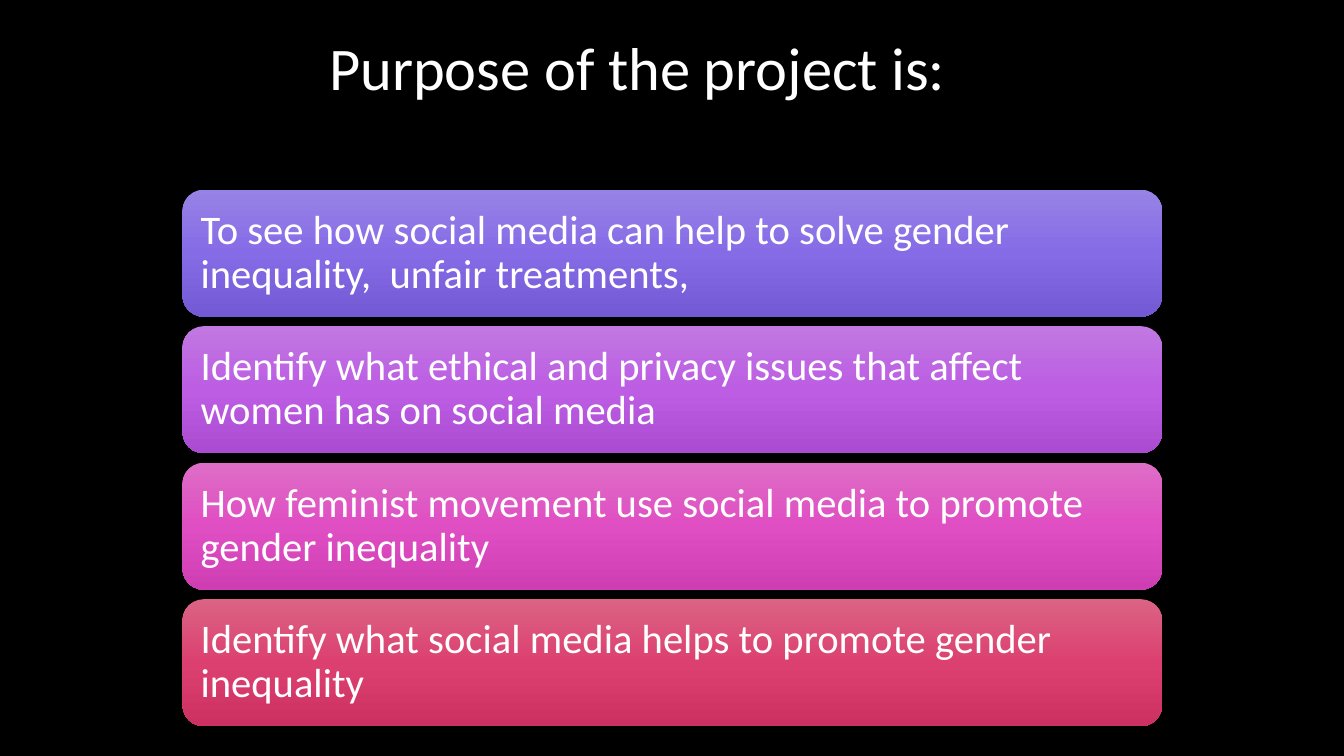
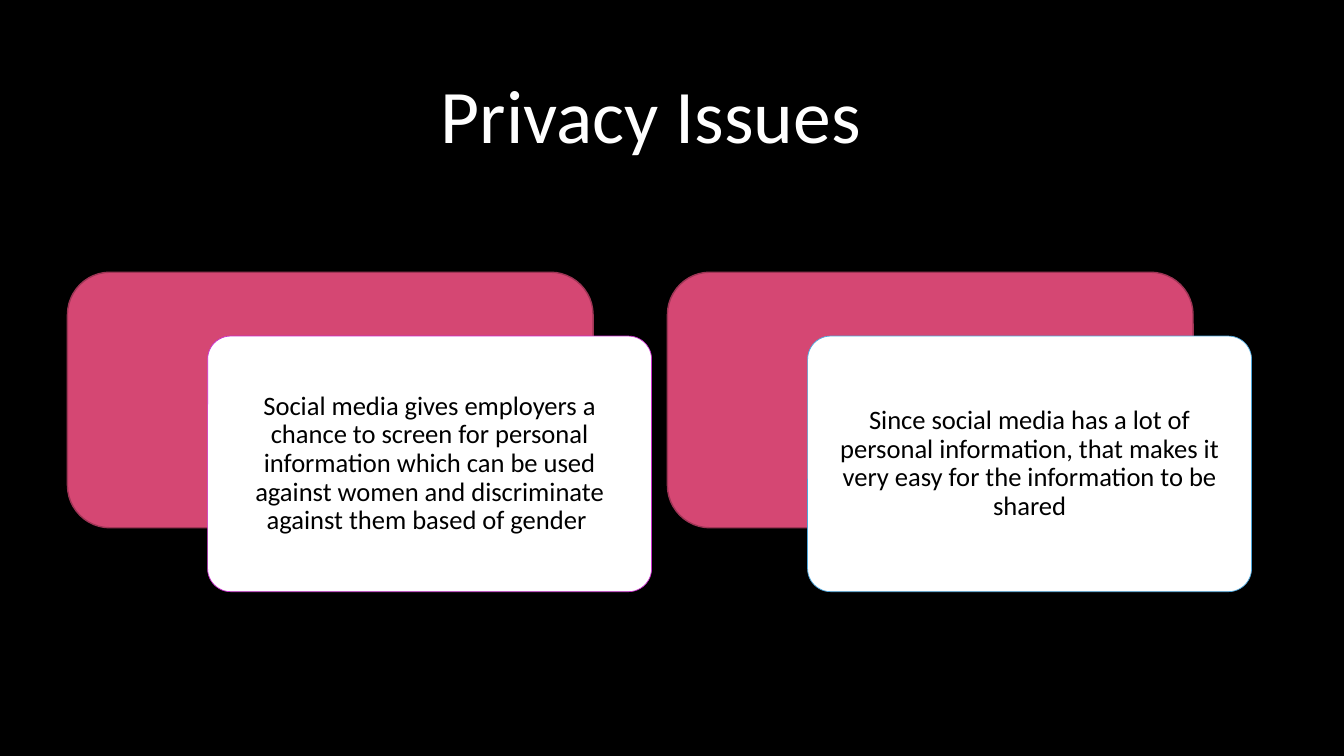
from copy import deepcopy

from pptx import Presentation
from pptx.dml.color import RGBColor
from pptx.enum.shapes import MSO_SHAPE
from pptx.enum.text import MSO_ANCHOR, MSO_AUTO_SIZE, PP_ALIGN
from pptx.oxml.ns import qn
from pptx.util import Cm, Pt

ROUND_RECT = MSO_SHAPE.ROUNDED_RECTANGLE
MIDDLE = MSO_ANCHOR.MIDDLE
NO_FIT = MSO_AUTO_SIZE.NONE
LEFT, CENTER = PP_ALIGN.LEFT, PP_ALIGN.CENTER

FONT = "Calibri"
BLACK = RGBColor(0x00, 0x00, 0x00)
WHITE = RGBColor(0xFF, 0xFF, 0xFF)
ROSE = RGBColor(0xD5, 0x47, 0x73)
DARK_ROSE = RGBColor(0x9E, 0x35, 0x55)
MAGENTA = RGBColor(0xC8, 0x30, 0xCC)
SKY = RGBColor(0x4E, 0xA6, 0xDC)

# Top, middle and bottom colour of each gradient
VIOLET_FADE = (RGBColor(0x97, 0x83, 0xE6), RGBColor(0x86, 0x6B, 0xE7), RGBColor(0x73, 0x59, 0xD4))
PURPLE_FADE = (RGBColor(0xC1, 0x78, 0xE2), RGBColor(0xBC, 0x5D, 0xE3), RGBColor(0xAA, 0x4B, 0xD1))
PINK_FADE = (RGBColor(0xDE, 0x6D, 0xC6), RGBColor(0xE0, 0x4E, 0xC3), RGBColor(0xCE, 0x3E, 0xB2))
RED_FADE = (RGBColor(0xDB, 0x63, 0x84), RGBColor(0xDC, 0x40, 0x70), RGBColor(0xCC, 0x31, 0x61))

PURPOSES = [
    ("To see how social media can help to solve gender inequality,  unfair treatments,", VIOLET_FADE),
    ("Identify what ethical and privacy issues that affect women has on social media", PURPLE_FADE),
    ("How feminist movement use social media to promote gender inequality", PINK_FADE),
    ("Identify what social media helps to promote gender inequality", RED_FADE),
]
ISSUES = [
    ("Social media gives employers a chance to screen for personal information which "
     "can be used against women and discriminate against them based of gender ", MAGENTA),
    ("Since social media has a lot of personal information, that makes it very easy "
     "for the information to be shared", SKY),
]


def write(shape, text, size, color=WHITE, align=CENTER, inset=None):
    tf = shape.text_frame
    tf.word_wrap = True
    tf.auto_size = NO_FIT
    tf.vertical_anchor = MIDDLE
    if inset is not None:
        tf.margin_left = tf.margin_right = tf.margin_top = tf.margin_bottom = Cm(inset)
    p = tf.paragraphs[0]
    p.alignment = align
    p.line_spacing = 0.9
    r = p.add_run()
    r.text = text
    r.font.name = FONT
    r.font.size = Pt(size)
    r.font.color.rgb = color


def add_round_rect(s, left, top, width, height, fill=None, line=None, line_width=1):
    sp = s.shapes.add_shape(ROUND_RECT, Cm(left), Cm(top), Cm(width), Cm(height))
    sp.shadow.inherit = False
    if fill is not None:
        sp.fill.solid()
        sp.fill.fore_color.rgb = fill
    if line is None:
        sp.line.fill.background()
    else:
        sp.line.color.rgb = line
        sp.line.width = Pt(line_width)
    return sp


def fill_gradient(sp, colors):
    sp.fill.gradient()
    sp.fill.gradient_angle = 270
    # The default gradient has two stops; add the middle one
    stop_list = sp._element.spPr.find(qn("a:gradFill")).find(qn("a:gsLst"))
    stop_list.insert(1, deepcopy(stop_list[0]))
    for i, (stop, color) in enumerate(zip(sp.fill.gradient_stops, colors)):
        stop.color.rgb = color
        stop.position = i / (len(colors) - 1)


def add_titled_slide(prs, title, size, left, top, width, height):
    s = prs.slides.add_slide(prs.slide_layouts[5])
    sp = s.shapes.title
    sp.left, sp.top, sp.width, sp.height = Cm(left), Cm(top), Cm(width), Cm(height)
    write(sp, title, size)
    return s


def add_band_list(s, items, left, top, width, height, gap=0.24):
    band_height = (height - gap * (len(items) - 1)) / len(items)
    for i, (text, fade) in enumerate(items):
        sp = add_round_rect(s, left, top + i * (band_height + gap), width, band_height)
        fill_gradient(sp, fade)
        write(sp, text, 29, align=LEFT, inset=0.3)


def add_card(s, text, outline, left, top, width, height):
    # Coloured plate at top left, white card over it at bottom right
    plate_height = 0.8 * height
    card_width = 0.76 * width
    add_round_rect(s, left, top, 0.9 * width, plate_height, ROSE, DARK_ROSE)
    card = add_round_rect(s, left + width - card_width, top + height - plate_height,
                          card_width, plate_height, WHITE, outline, 0.5)
    card.adjustments[0] = 0.09
    write(card, text, 19, BLACK, inset=0.34)


def add_card_row(s, items, left, top, width, height, gap=0.4):
    card_width = (width - gap * (len(items) - 1)) / len(items)
    for i, (text, outline) in enumerate(items):
        add_card(s, text, outline, left + i * (card_width + gap), top, card_width, height)


def main():
    prs = Presentation()
    prs.slide_width, prs.slide_height = Cm(33.87), Cm(19.05)
    background = prs.slide_master.background.fill
    background.solid()
    background.fore_color.rgb = BLACK

    # Purpose
    s = add_titled_slide(prs, "Purpose of the project is:", 43.2, 7.19, 0, 17.75, 3.56)
    add_band_list(s, PURPOSES, 4.6, 4.78, 24.69, 13.52)

    # Privacy
    s = add_titled_slide(prs, "Privacy Issues", 54, 1.8, 1.17, 29.21, 3.68)
    add_card_row(s, ISSUES, 1.7, 6.86, 29.84, 8.05)

    prs.save("out.pptx")


if __name__ == "__main__":
    main()
